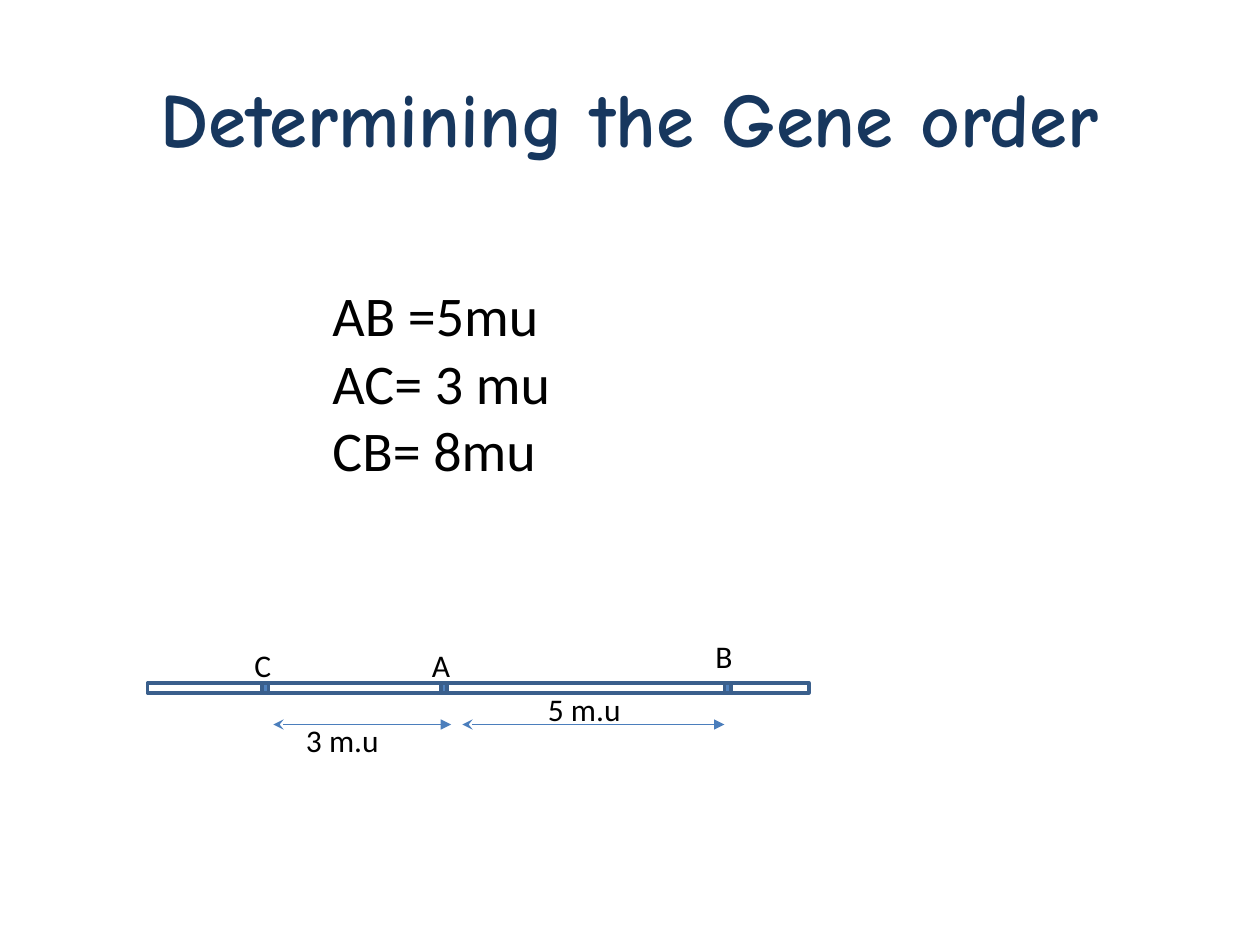
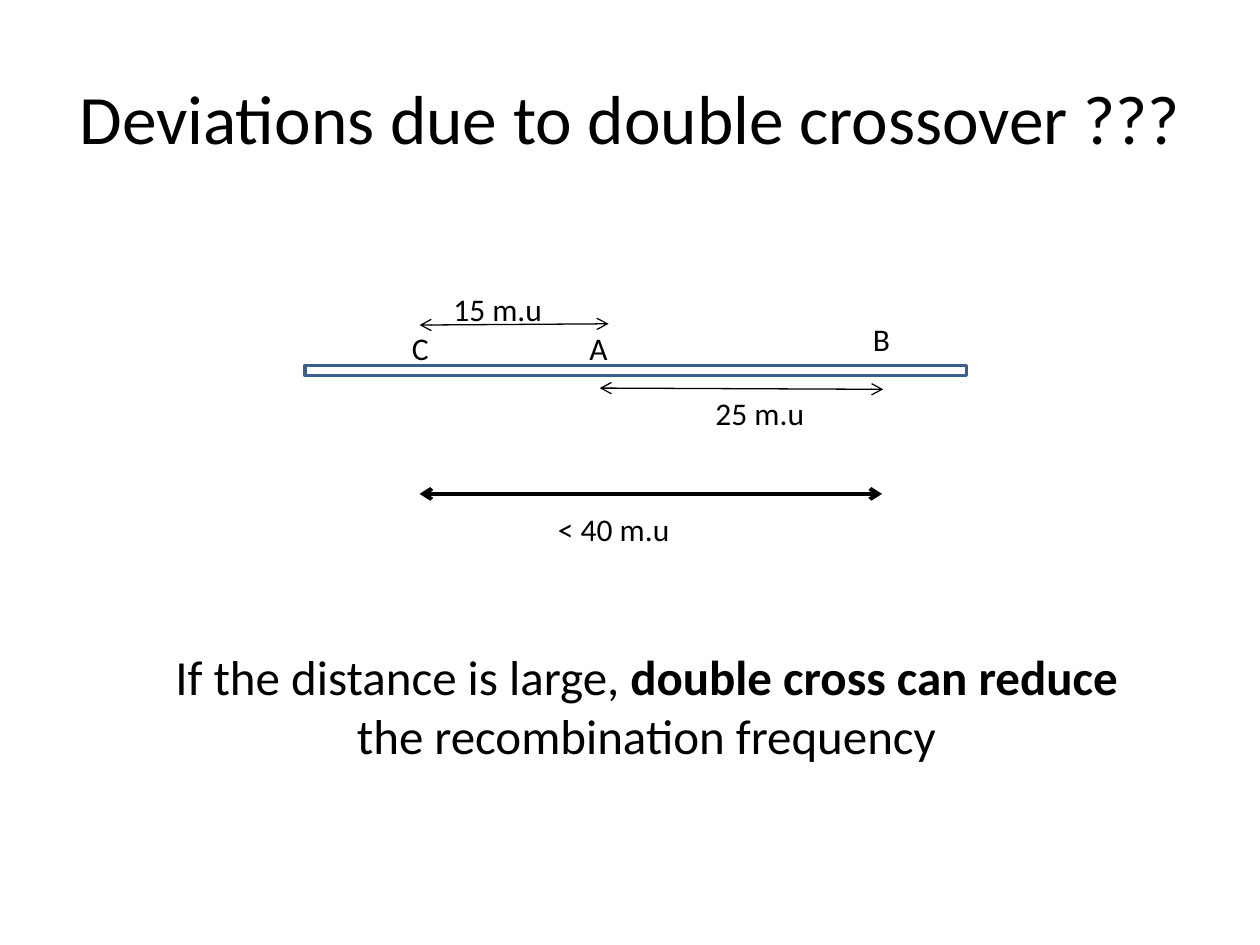
from dataclasses import dataclass

from lxml.etree import SubElement
from pptx import Presentation
from pptx.dml.color import RGBColor
from pptx.enum.shapes import MSO_CONNECTOR as Connector, MSO_SHAPE as Shape
from pptx.enum.text import MSO_ANCHOR as Anchor, PP_ALIGN as Align
from pptx.oxml.ns import qn
from pptx.util import Inches, Pt


@dataclass(frozen=True)
class Theme:
    body_font: str = "Calibri"
    accent_font: str = "Comic Neue"
    text: str = "000000"
    accent_title: str = "17375E"
    gene_fill: str = "4F81BD"
    outline: str = "3A5F8C"
    arrow: str = "4B7EBC"
    title_size: float = 44
    long_title_size: float = 39.6
    list_size: float = 32
    note_size: float = 28
    label_size: float = 18
    outline_width: float = 2
    thin: float = 0.75
    thick: float = 2.25


# Gene name: label's left and top, and the mark's left, from the chromosome's corner
GENES = {"C": (0.75, -0.34, 0.91), "A": (2.16, -0.34, 2.33), "B": (4.41, -0.41, 4.58)}
CHROMOSOME_WIDTH, CHROMOSOME_HEIGHT = 5.25, 0.08
GENE_WIDTH = 0.05


class Deck:
    def __init__(self, theme):
        self.theme = theme
        self.presentation = Presentation()
        self.presentation.slide_width = Inches(10)
        self.presentation.slide_height = Inches(7.5)
        self.slide = None

    def add_run(self, paragraph, text, size, font=None, color=None, bold=False):
        run = paragraph.add_run()
        run.text = text
        run.font.size = Pt(size)
        run.font.name = font or self.theme.body_font
        run.font.bold = bold
        run.font.color.rgb = RGBColor.from_string(color or self.theme.text)

    def add_slide(self, title, size, **style):
        layout = self.presentation.slide_layouts.get_by_name("Title Only")
        self.slide = self.presentation.slides.add_slide(layout)
        shape = self.slide.shapes.title
        shape.left, shape.top = Inches(0.5), Inches(0.3)
        shape.width, shape.height = Inches(9), Inches(1.25)
        shape.text_frame.vertical_anchor = Anchor.MIDDLE
        paragraph = shape.text_frame.paragraphs[0]
        paragraph.alignment = Align.CENTER
        self.add_run(paragraph, title, size, **style)

    def add_text(self, left, top, width, height, paragraphs, size, align=Align.LEFT):
        """Each paragraph is a list of (text, bold) runs."""
        box = self.slide.shapes.add_textbox(
            Inches(left), Inches(top), Inches(width), Inches(height))
        frame = box.text_frame
        frame.word_wrap = True
        for index, runs in enumerate(paragraphs):
            paragraph = frame.add_paragraph() if index else frame.paragraphs[0]
            paragraph.alignment = align
            for text, bold in runs:
                self.add_run(paragraph, text, size, bold=bold)

    def add_label(self, left, top, width, text):
        self.add_text(left, top, width, 0.4, [[(text, False)]], self.theme.label_size)

    def add_bar(self, left, top, width, fill=None):
        bar = self.slide.shapes.add_shape(
            Shape.RECTANGLE, Inches(left), Inches(top),
            Inches(width), Inches(CHROMOSOME_HEIGHT))
        bar.shadow.inherit = False
        if fill:
            bar.fill.solid()
            bar.fill.fore_color.rgb = RGBColor.from_string(fill)
        else:
            bar.fill.background()
        bar.line.color.rgb = RGBColor.from_string(self.theme.outline)
        bar.line.width = Pt(self.theme.outline_width)

    def add_chromosome(self, left, top, marked=False):
        for name, (label_left, label_top, mark_left) in GENES.items():
            if marked:
                self.add_bar(left + mark_left, top, GENE_WIDTH, self.theme.gene_fill)
            self.add_label(left + label_left, top + label_top, 0.5, name)
        self.add_bar(left, top, CHROMOSOME_WIDTH)

    def add_arrow(self, start, end, color, width, head="arrow", tail="arrow"):
        arrow = self.slide.shapes.add_connector(
            Connector.STRAIGHT, *map(Inches, start + end))
        arrow.line.color.rgb = RGBColor.from_string(color)
        arrow.line.width = Pt(width)
        line = arrow.line._get_or_add_ln()
        SubElement(line, qn("a:headEnd"), type=head)
        SubElement(line, qn("a:tailEnd"), type=tail)
        SubElement(arrow._element.spPr, qn("a:effectLst"))


def add_gene_order(deck):
    theme = deck.theme
    deck.add_slide("Determining the Gene order", theme.title_size,
                   font=theme.accent_font, color=theme.accent_title, bold=True)
    distances = ["AB =5mu", "AC= 3 mu", "CB= 8mu"]
    deck.add_text(2.54, 2.18, 4.52, 1.72,
                  [[(distance, False)] for distance in distances], theme.list_size)
    deck.add_chromosome(1.17, 5.42, marked=True)
    for start, end in [(2.17, 3.58), (3.67, 5.75)]:
        deck.add_arrow((start, 5.75), (end, 5.75), theme.arrow, theme.thin,
                       head="stealth", tail="triangle")
    deck.add_label(4.25, 5.43, 0.92, "5 m.u")
    deck.add_label(2.33, 5.67, 0.92, "3 m.u")


def add_double_crossover(deck):
    theme = deck.theme
    deck.add_slide("Deviations due to double crossover ???", theme.long_title_size)
    deck.add_chromosome(2.42, 2.9)
    for start, end, width in [
        ((3.33, 2.58), (4.83, 2.57), theme.thin),
        ((4.76, 3.08), (7.01, 3.09), theme.thin),
        ((3.33, 3.92), (7, 3.92), theme.thick),
    ]:
        deck.add_arrow(start, end, theme.text, width)
    deck.add_label(3.5, 2.25, 1.33, "15 m.u")
    deck.add_label(5.58, 3.08, 1.42, "25 m.u")
    deck.add_label(4.33, 4, 1.42, "< 40 m.u")
    conclusion = [("If the distance is large, ", False),
                  ("double cross can reduce ", True),
                  ("the recombination frequency", False)]
    deck.add_text(1.17, 5.08, 7.92, 1.04, [conclusion], theme.note_size, Align.CENTER)


def main():
    deck = Deck(Theme())
    add_gene_order(deck)
    add_double_crossover(deck)
    deck.presentation.save("out.pptx")


if __name__ == "__main__":
    main()
